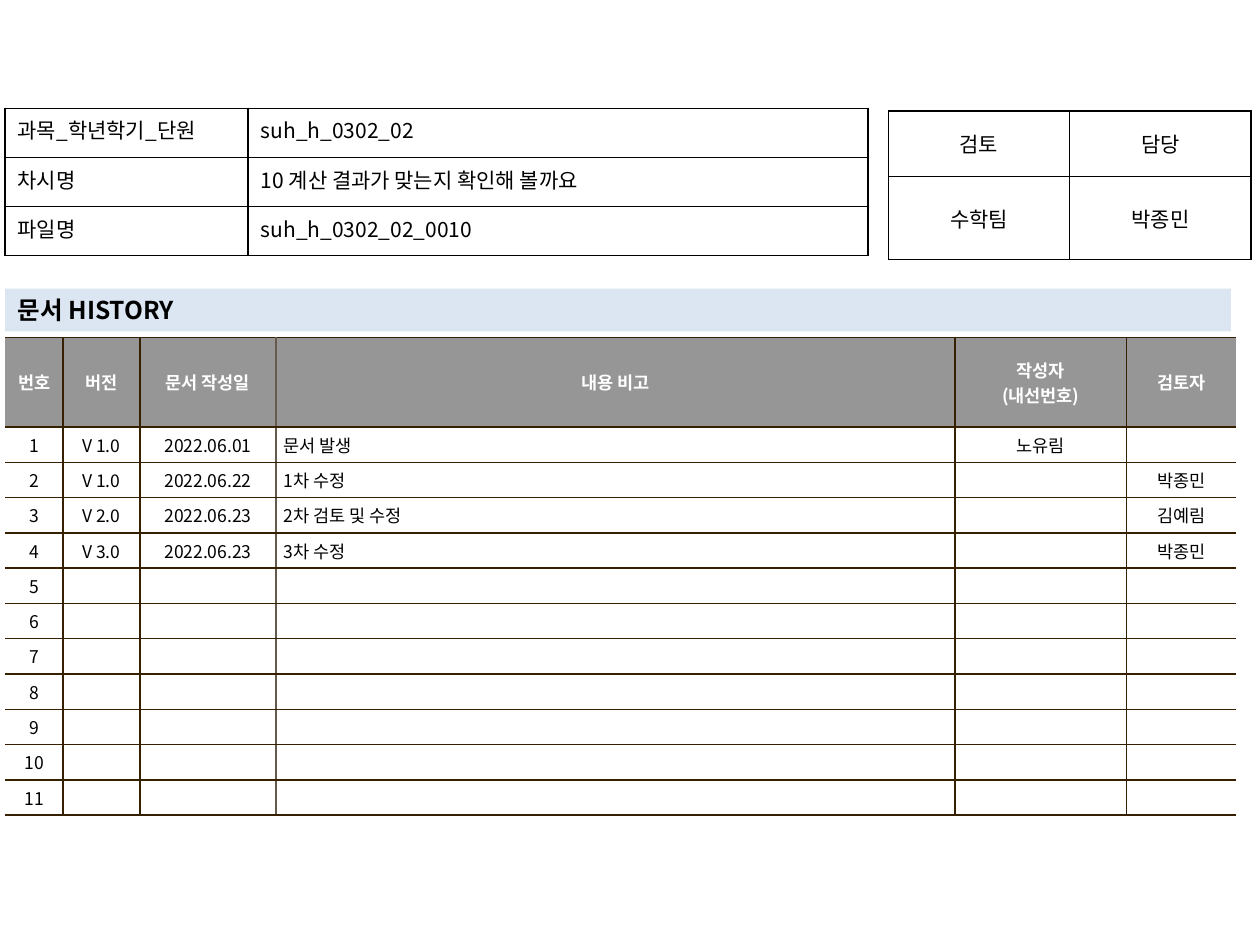
from dataclasses import dataclass

from lxml import etree
from pptx import Presentation
from pptx.dml.color import RGBColor
from pptx.enum.text import MSO_ANCHOR, MSO_AUTO_SIZE, PP_ALIGN
from pptx.oxml.ns import qn
from pptx.util import Inches, Pt

LEFT, CENTER, JUSTIFY = PP_ALIGN.LEFT, PP_ALIGN.CENTER, PP_ALIGN.JUSTIFY
TOP, MIDDLE = MSO_ANCHOR.TOP, MSO_ANCHOR.MIDDLE
NO_FIT = MSO_AUTO_SIZE.NONE
FONT = "Noto Sans CJK KR"
BLACK, WHITE, GREY, PALE_BLUE = "000000", "FFFFFF", "969696", "DCE6F2"
BROWN, LIGHT_BROWN = "362000", "645B4C"
MARGIN = 0.04
HISTORY_ROWS = 11
DATE_COL, NOTE_COL = 2, 3


@dataclass
class Grid:
    left: float
    top: float
    cols: list[float]
    rows: list[float]
    texts: list[list[str]]
    aligns: list[PP_ALIGN]
    size: int = 12
    anchor: MSO_ANCHOR = MIDDLE
    pad: tuple[float, float] = (0.1, 0.05)
    line: str = BLACK
    fill: str = ""
    header_fill: str = ""
    open_sides: bool = False


def rgb(value: str) -> RGBColor:
    return RGBColor.from_string(value)


def add_run(p, text: str, size: int, color: str, bold: bool = False) -> None:
    r = p.add_run()
    r.text = text
    r.font.size, r.font.bold = Pt(size), bold
    r.font.color.rgb = rgb(color)
    r.font.name = FONT
    etree.SubElement(r._r.get_or_add_rPr(), qn("a:ea"), typeface=FONT)


def add_border(cell, side: str, color: str) -> None:
    """Draw one side (L, R, T or B); an empty colour hides it."""
    ln = etree.SubElement(cell._tc.get_or_add_tcPr(), qn(f"a:ln{side}"), w=str(Pt(1)))
    if color:
        fill = etree.SubElement(ln, qn("a:solidFill"))
        etree.SubElement(fill, qn("a:srgbClr"), val=color)
    else:
        etree.SubElement(ln, qn("a:noFill"))


def border_color(grid: Grid, col: int, side: str) -> str:
    if grid.open_sides:
        if (side, col) in (("L", 0), ("R", len(grid.cols) - 1)):
            return ""
        if (side, col) in (("R", DATE_COL), ("L", NOTE_COL)):
            return LIGHT_BROWN
    return grid.line


def fill_cell(cell, grid: Grid, row: int, col: int) -> None:
    header = bool(grid.header_fill) and row == 0
    for side in "LRTB":
        add_border(cell, side, border_color(grid, col, side))
    fill = grid.header_fill if header else grid.fill
    if fill:
        cell.fill.solid()
        cell.fill.fore_color.rgb = rgb(fill)
    else:
        cell.fill.background()
    cell.vertical_anchor = grid.anchor
    cell.margin_left = cell.margin_right = Inches(grid.pad[0])
    cell.margin_top = cell.margin_bottom = Inches(grid.pad[1])
    tf = cell.text_frame
    for i, text in enumerate(grid.texts[row][col].split("\n")):
        p = tf.add_paragraph() if i else tf.paragraphs[0]
        p.alignment = CENTER if header else grid.aligns[col]
        if text:
            add_run(p, text, grid.size, WHITE if header else BLACK, header)
        else:
            etree.SubElement(p._p, qn("a:endParaRPr"), sz=str(grid.size * 100))


def add_grid(slide, grid: Grid) -> None:
    table = slide.shapes.add_table(
        len(grid.rows), len(grid.cols), Inches(grid.left), Inches(grid.top),
        Inches(sum(grid.cols)), Inches(sum(grid.rows))).table
    table.first_row = table.horz_banding = False
    for column, width in zip(table.columns, grid.cols):
        column.width = Inches(width)
    for row, height in zip(table.rows, grid.rows):
        row.height = Inches(height)
    for row in range(len(grid.rows)):
        for col in range(len(grid.cols)):
            fill_cell(table.cell(row, col), grid, row, col)


def format_title(title, text: str) -> None:
    title.left, title.top = Inches(MARGIN), Inches(2.29)
    title.width, title.height = Inches(9.73), Inches(0.34)
    title.fill.solid()
    title.fill.fore_color.rgb = rgb(PALE_BLUE)
    tf = title.text_frame
    tf.word_wrap, tf.auto_size, tf.vertical_anchor = True, NO_FIT, MIDDLE
    p = tf.paragraphs[0]
    p.alignment = LEFT
    add_run(p, text, 14, BLACK, True)


def history_texts() -> list[list[str]]:
    header = ["번호", "버전", "문서 작성일", "내용 비고", "작성자\n(내선번호)", "검토자"]
    entries = [
        ["V 1.0", "2022.06.01", "문서 발생", "노유림", ""],
        ["V 1.0", "2022.06.22", "1차 수정", "", "박종민"],
        ["V 2.0", "2022.06.23", "2차 검토 및 수정", "", "김예림"],
        ["V 3.0", "2022.06.23", "3차 수정", "", "박종민"],
    ]
    entries += [[""] * 5] * (HISTORY_ROWS - len(entries))
    return [header] + [[str(n), *entry] for n, entry in enumerate(entries, 1)]


def main() -> None:
    prs = Presentation()
    prs.slide_width, prs.slide_height = Inches(10), Inches(7.5)
    slide = prs.slides.add_slide(prs.slide_layouts[5])
    format_title(slide.shapes.title, "문서 HISTORY")

    history = Grid(
        MARGIN, 2.68, [0.46, 0.61, 1.08, 5.39, 1.36, 0.87],
        [0.71] + [0.28] * HISTORY_ROWS, history_texts(),
        [CENTER, CENTER, CENTER, LEFT, CENTER, CENTER], size=10,
        pad=(0.06, 0.04), line=BROWN, fill=WHITE, header_fill=GREY, open_sides=True)
    approval = Grid(
        7.05, 0.88, [1.44] * 2, [0.52, 0.66],
        [["검토", "담당"], ["수학팀", "박종민"]], [CENTER, CENTER])
    lesson = Grid(
        MARGIN, 0.86, [1.93, 4.92], [0.39] * 3,
        [["과목_학년학기_단원", "suh_h_0302_02"],
         ["차시명", "10 계산 결과가 맞는지 확인해 볼까요"],
         ["파일명", "suh_h_0302_02_0010"]],
        [JUSTIFY, LEFT], anchor=TOP)
    for grid in (history, approval, lesson):
        add_grid(slide, grid)
    prs.save("out.pptx")


if __name__ == "__main__":
    main()
